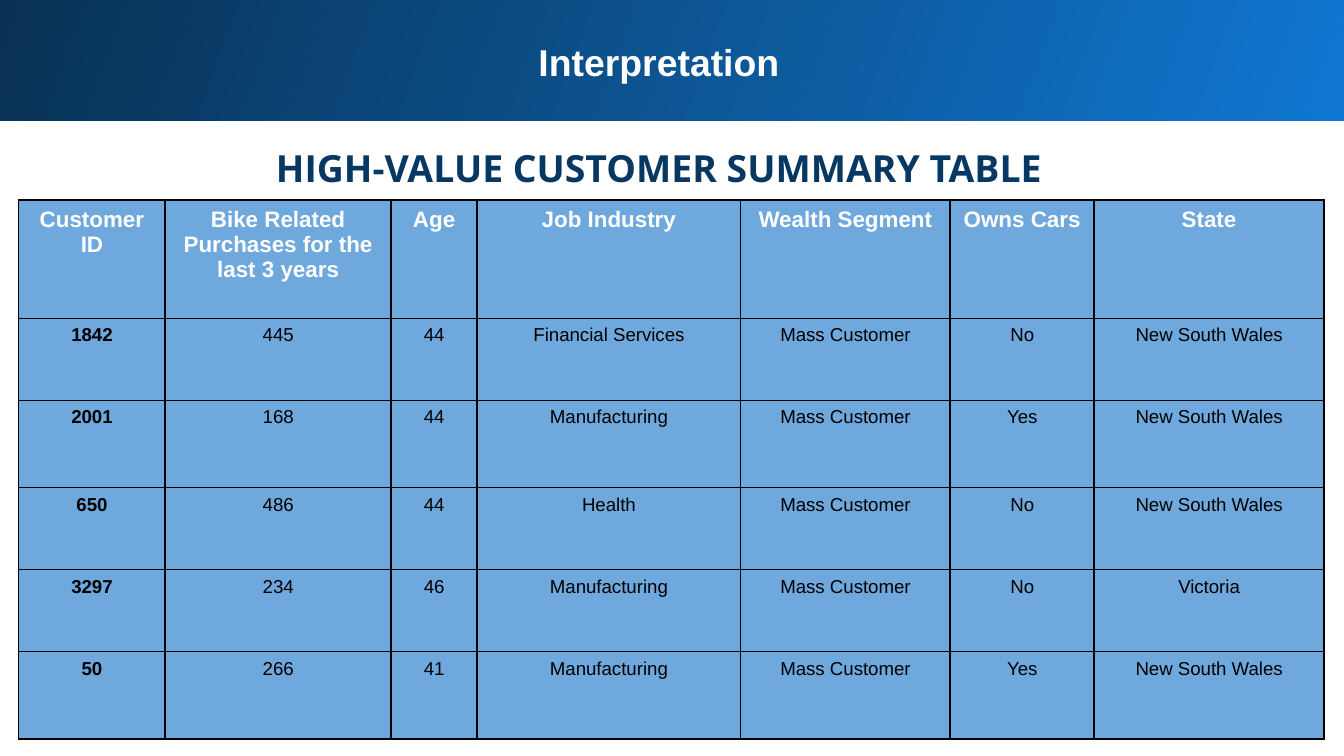
import pptx
import pptx.util
import pptx.dml.color
import pptx.enum.shapes
import pptx.enum.text
import pptx.oxml
import pptx.oxml.ns
from dataclasses import dataclass

Pt = pptx.util.Pt


@dataclass(frozen=True)
class Theme:
    white: str = "FFFFFF"
    black: str = "000000"
    navy: str = "073763"
    band_light: str = "1077D2"
    band_dark: str = "093153"
    cell: str = "6FA8DC"
    body_font: str = "Arial"
    heading_font: str = "Open Sans"
    title_size: float = 20
    header_size: float = 12
    cell_size: float = 10
    border: float = 1


THEME = Theme()

COL_WIDTHS = [78.5, 121, 46.1, 141.1, 112.3, 77.1, 123.1]
ROW_HEIGHTS = [63.4, 43.9, 46.8, 43.9, 43.9, 46.8]
ROWS = [
    ["Customer ID", "Bike Related Purchases for the last 3 years", "Age",
     "Job Industry", "Wealth Segment", "Owns Cars", "State"],
    ["1842", "445", "44", "Financial Services", "Mass Customer", "No", "New South Wales"],
    ["2001", "168", "44", "Manufacturing", "Mass Customer", "Yes", "New South Wales"],
    ["650", "486", "44", "Health", "Mass Customer", "No", "New South Wales"],
    ["3297", "234", "46", "Manufacturing", "Mass Customer", "No", "Victoria"],
    ["50", "266", "41", "Manufacturing", "Mass Customer", "Yes", "New South Wales"],
]


def rgb(color):
    return pptx.dml.color.RGBColor.from_string(color)


def write(tf, text, *, size, color, font=THEME.body_font, bold=True, spacing=None):
    """Put one centred, formatted paragraph in a text frame."""
    p = tf.paragraphs[0]
    p.alignment = pptx.enum.text.PP_ALIGN.CENTER
    if spacing:
        p.line_spacing = spacing
    r = p.add_run()
    r.text = text
    r.font.size = Pt(size)
    r.font.name = font
    r.font.bold = bold
    r.font.color.rgb = rgb(color)


def add_text(s, box, text, **fmt):
    tf = s.shapes.add_textbox(*map(Pt, box)).text_frame
    tf.word_wrap = True
    tf.margin_left = tf.margin_right = tf.margin_top = tf.margin_bottom = Pt(7.2)
    write(tf, text, **fmt)


def add_banner(s, box):
    """Gradient band with the slide title."""
    x, y, w, h = box
    sp = s.shapes.add_shape(pptx.enum.shapes.MSO_SHAPE.RECTANGLE, *map(Pt, box))
    sp.shadow.inherit = False
    sp.line.fill.background()
    sp.fill.gradient()
    sp.fill.gradient_angle = 160
    for stop, color in zip(sp.fill.gradient_stops, (THEME.band_light, THEME.band_dark)):
        stop.color.rgb = rgb(color)
    add_text(s, (x + 17.3, y + 15.1, 674.6, 46.1), "Interpretation",
             size=THEME.title_size, color=THEME.white)


def add_heading(s, box):
    add_text(s, box, "HIGH-VALUE CUSTOMER SUMMARY TABLE", size=THEME.title_size,
             color=THEME.navy, font=THEME.heading_font, spacing=1.15)


def add_borders(cell):
    """Draw all four sides; the lines must come before the cell fill."""
    tcPr = cell._tc.get_or_add_tcPr()
    for i, side in enumerate(("lnL", "lnR", "lnT", "lnB")):
        tcPr.insert(i, pptx.oxml.parse_xml(
            f'<a:{side} {pptx.oxml.ns.nsdecls("a")} w="{Pt(THEME.border)}">'
            f'<a:solidFill><a:srgbClr val="{THEME.black}"/></a:solidFill></a:{side}>'))


def add_customer_table(s, box):
    """Customer grid, its columns and rows scaled to fill the box."""
    x, y, w, h = box
    table = s.shapes.add_table(len(ROWS), len(COL_WIDTHS), *map(Pt, box)).table
    for col, width in zip(table.columns, COL_WIDTHS):
        col.width = Pt(width * w / sum(COL_WIDTHS))
    for row, height in zip(table.rows, ROW_HEIGHTS):
        row.height = Pt(height * h / sum(ROW_HEIGHTS))
    for i, values in enumerate(ROWS):
        header = i == 0
        for j, value in enumerate(values):
            cell = table.cell(i, j)
            cell.fill.solid()
            cell.fill.fore_color.rgb = rgb(THEME.cell)
            add_borders(cell)
            write(cell.text_frame, value, bold=header or j == 0,
                  size=THEME.header_size if header else THEME.cell_size,
                  color=THEME.white if header else THEME.black)


def main():
    prs = pptx.Presentation()
    prs.slide_width, prs.slide_height = Pt(720), Pt(405)
    s = prs.slides.add_slide(prs.slide_layouts[6])
    add_banner(s, (-1.5, -1.5, 723.5, 66.3))
    add_heading(s, (15.8, 67, 674.6, 40.3))
    add_customer_table(s, (10, 107.2, 699.4, 288.7))
    prs.save("out.pptx")


if __name__ == "__main__":
    main()
